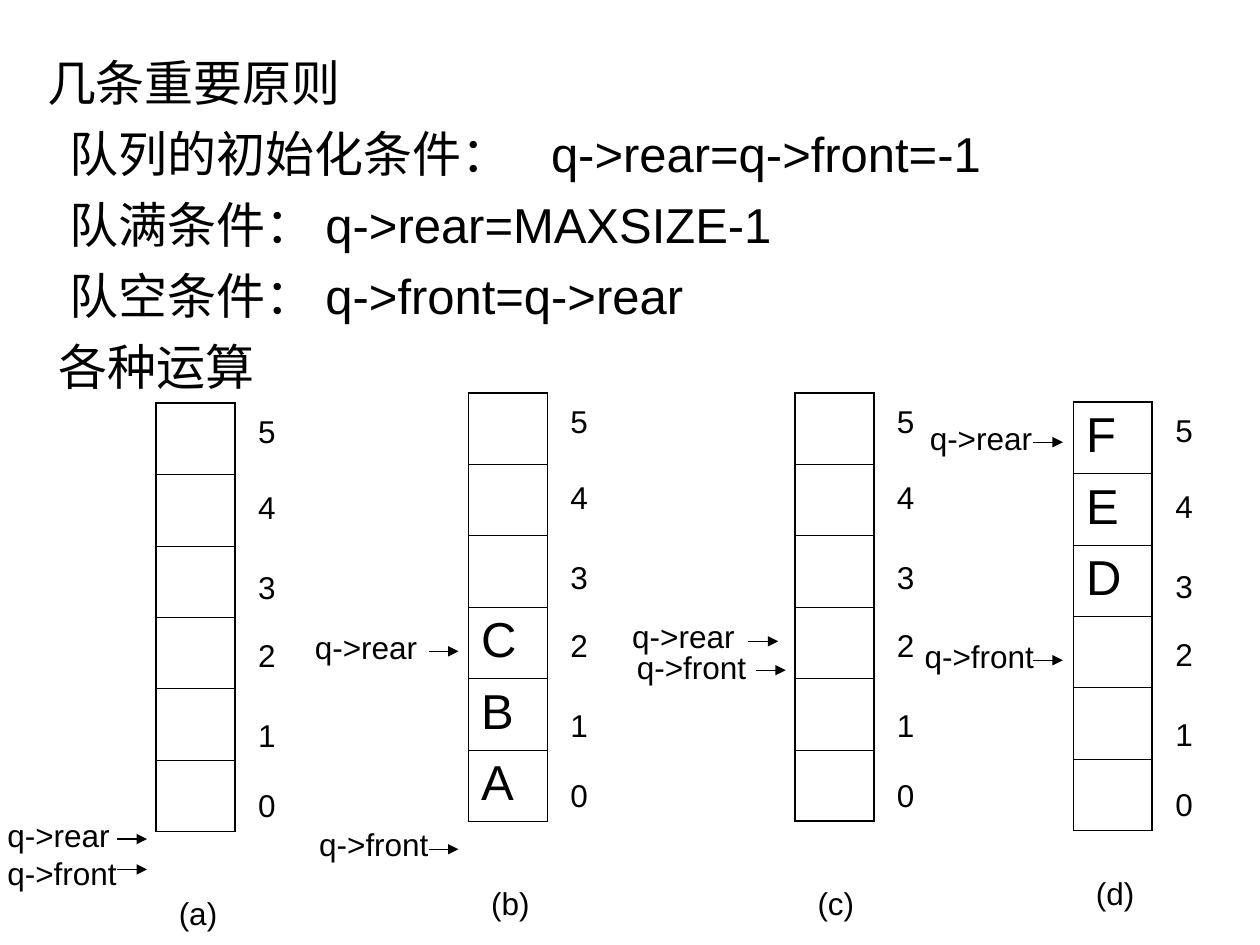
from lxml import etree
from pptx import Presentation
from pptx.dml.color import RGBColor
from pptx.enum.shapes import MSO_CONNECTOR
from pptx.enum.text import MSO_AUTO_SIZE
from pptx.oxml.ns import qn
from pptx.util import Pt

STRAIGHT = MSO_CONNECTOR.STRAIGHT
FIT_SHAPE = MSO_AUTO_SIZE.SHAPE_TO_FIT_TEXT
NO_FIT = MSO_AUTO_SIZE.NONE
FONT = "Arial"
COLORS = {"ink": "000000"}

CELL_HEIGHT = 40.8
INDEX_OFFSETS = {5: 1.4, 4: 44.8, 3: 90.7, 2: 129.8, 1: 175.2, 0: 215.3}
ARROW_LENGTH = 17
OUTER_BORDER, INNER_BORDER = 1.08, 0.45

# Text and first-line indent
PRINCIPLES = [
    ("几条重要原则", 0),
    ("队列的初始化条件：\tq->rear=q->front=-1", 13),
    ("队满条件： q->rear=MAXSIZE-1", 13),
    ("队空条件： q->front=q->rear", 13),
    ("各种运算", 6.8),
]
FORMULA_TAB = 278.6

# Caption, left, top, cells from top to bottom, caption offset
QUEUES = [
    ("(a)", 89.3, 230.4, ["", "", "", "", "", ""], 277.2),
    ("(b)", 267.8, 224.6, ["", "", "", "C", "B", "A"], 277.2),
    ("(c)", 454.3, 224.6, ["", "", "", "", "", ""], 277.2),
    ("(d)", 613.4, 229.7, ["F", "E", "D", "", "", ""], 266.4),
]

# Lines, left, top
POINTER_LABELS = [
    (["q->rear", "q->front"], -2.9, 463),
    (["q->rear"], 172.8, 355.3),
    (["q->front"], 175.3, 468),
    (["q->rear"], 354.2, 349.2),
    (["q->front"], 356.8, 366.5),
    (["q->rear"], 524.2, 235.8),
    (["q->front"], 521.3, 360.3),
]
ARROWS = [(67, 479.5), (67, 496.8), (245, 372.2), (245, 485.3),
          (427.7, 366.5), (432, 383), (590.4, 252.7), (590.4, 377.3)]


def color(name):
    return RGBColor.from_string(COLORS[name])


def write_text(text_frame, lines, *, size, space_before=0, indents=None, tab=None):
    """Fill a text frame with one paragraph for each line."""
    for number, line in enumerate(lines):
        paragraph = text_frame.paragraphs[0] if number == 0 else text_frame.add_paragraph()
        paragraph.text = line
        properties = paragraph._p.get_or_add_pPr()
        if indents:
            properties.set("marL", "0")
            properties.set("indent", str(Pt(indents[number])))
        if tab and "\t" in line:
            tab_list = etree.SubElement(properties, qn("a:tabLst"))
            etree.SubElement(tab_list, qn("a:tab"), pos=str(Pt(tab)), algn="l")
        if number:
            paragraph.space_before = Pt(space_before)
        paragraph.font.size = Pt(size)
        paragraph.font.name = FONT
        paragraph.font.color.rgb = color("ink")


def add_text(slide, lines, left, top, width, height, *, fit=FIT_SHAPE, **text_format):
    box = slide.shapes.add_textbox(Pt(left), Pt(top), Pt(width), Pt(height))
    box.text_frame.word_wrap = True
    box.text_frame.auto_size = fit
    write_text(box.text_frame, lines, **text_format)


def set_borders(cell, widths):
    properties = cell._tc.get_or_add_tcPr()
    for position, (side, width) in enumerate(widths.items()):
        line = etree.Element(qn(f"a:ln{side}"), w=str(Pt(width)))
        fill = etree.SubElement(line, qn("a:solidFill"))
        etree.SubElement(fill, qn("a:srgbClr"), val=COLORS["ink"])
        properties.insert(position, line)


def add_queue(slide, caption, left, top, cells, caption_offset):
    """Draw one queue column with its indexes and caption."""
    count = len(cells)
    table = slide.shapes.add_table(
        count, 1, Pt(left), Pt(top), Pt(45), Pt(CELL_HEIGHT * count)).table
    table.first_row = False
    table.horz_banding = False
    for row, text in enumerate(cells):
        table.rows[row].height = Pt(CELL_HEIGHT)
        cell = table.cell(row, 0)
        cell.fill.background()
        set_borders(cell, {
            "L": OUTER_BORDER,
            "R": OUTER_BORDER,
            "T": OUTER_BORDER if row == 0 else INNER_BORDER,
            "B": OUTER_BORDER if row == count - 1 else INNER_BORDER,
        })
        if text:
            write_text(cell.text_frame, [text], size=28)
    for index, offset in INDEX_OFFSETS.items():
        add_text(slide, [str(index)], left + 51.1, top + offset, 26, 28.8, size=18)
    add_text(slide, [caption], left + 5.8, top + caption_offset, 42, 28.8, size=18)


def add_arrow(slide, left, top):
    arrow = slide.shapes.add_connector(
        STRAIGHT, Pt(left), Pt(top), Pt(left + ARROW_LENGTH), Pt(top))
    arrow.line.color.rgb = color("ink")
    arrow.line.width = Pt(0.75)
    etree.SubElement(arrow.line._get_or_add_ln(), qn("a:tailEnd"), type="triangle")
    etree.SubElement(arrow._element.spPr, qn("a:effectLst"))


def main():
    presentation = Presentation()
    presentation.slide_width = Pt(720)
    presentation.slide_height = Pt(540)
    slide = presentation.slides.add_slide(presentation.slide_layouts[6])

    lines, indents = zip(*PRINCIPLES)
    add_text(slide, lines, 19.8, 26.3, 684, 461.5, fit=NO_FIT,
             size=28, space_before=7, indents=indents, tab=FORMULA_TAB)
    for queue in QUEUES:
        add_queue(slide, *queue)
    for label, left, top in POINTER_LABELS:
        add_text(slide, label, left, top, 84, 7.2 + 21.6 * len(label), size=18)
    for left, top in ARROWS:
        add_arrow(slide, left, top)

    presentation.save("out.pptx")


if __name__ == "__main__":
    main()
